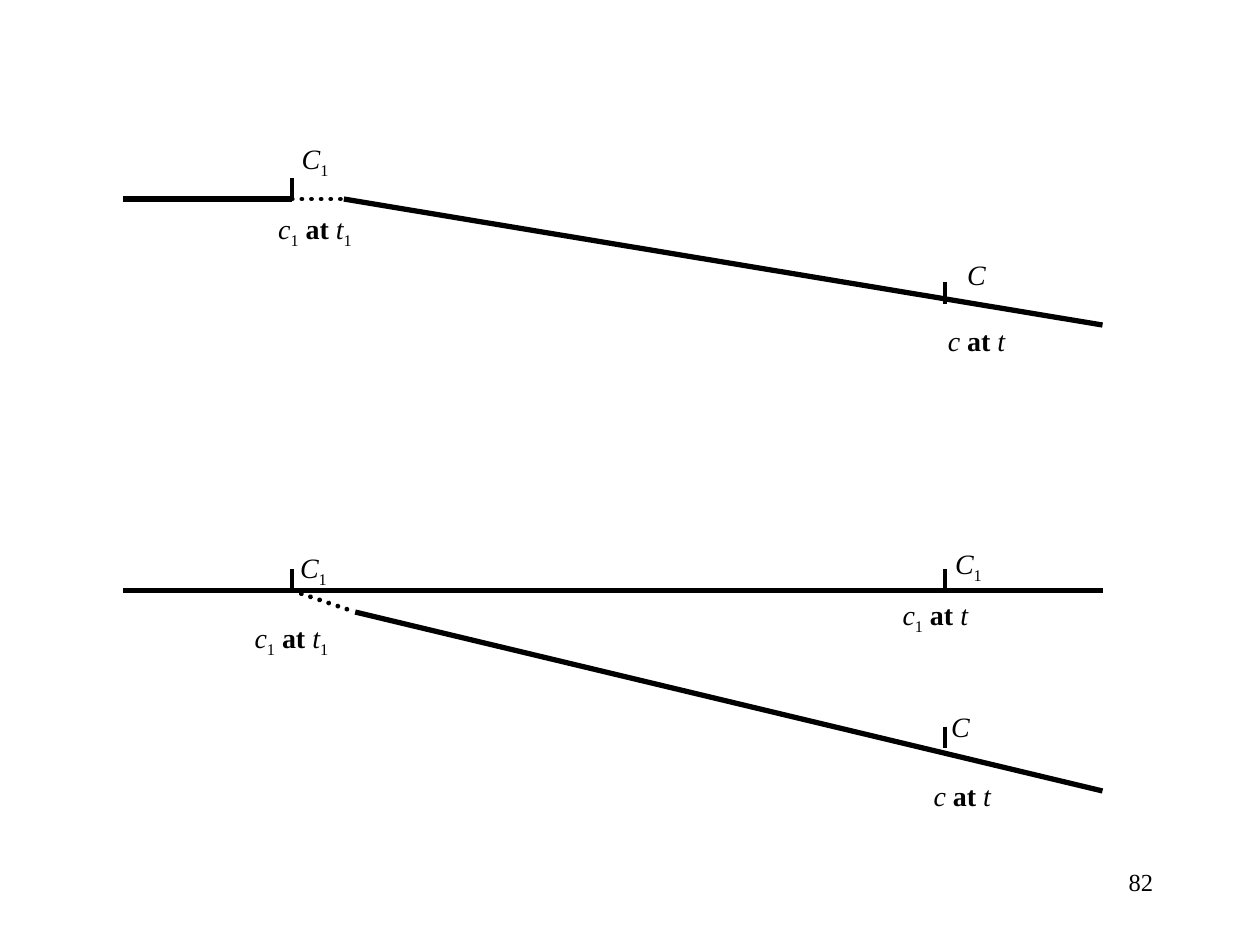
from lxml import etree
from pptx import Presentation
from pptx.dml.color import RGBColor
from pptx.enum.dml import MSO_LINE
from pptx.enum.shapes import MSO_CONNECTOR
from pptx.enum.text import PP_ALIGN
from pptx.oxml.ns import qn
from pptx.util import Pt

STRAIGHT = MSO_CONNECTOR.STRAIGHT
DOTTED = MSO_LINE.ROUND_DOT
LEFT, CENTER, RIGHT = PP_ALIGN.LEFT, PP_ALIGN.CENTER, PP_ALIGN.RIGHT

COLORS = {"ink": "000000"}
FONT = "Times New Roman"
INK = RGBColor.from_string(COLORS["ink"])
TICK_X, TICK_H = (96.5, 469.5), 12.25  # tick positions along a path
END_X = 559.5


def add_line(s, x1, y1, x2, y2, width=3, dotted=False):
    line = s.shapes.add_connector(STRAIGHT, Pt(x1), Pt(y1), Pt(x2), Pt(y2))
    line.line.color.rgb = INK
    line.line.width = Pt(width)
    if dotted:
        line.line.dash_style = DOTTED
        line.line._ln.set("cap", "rnd")
    etree.SubElement(line._element.spPr, qn("a:effectLst"))


def add_tick(s, x, bottom):
    add_line(s, x, bottom - TICK_H, x, bottom, width=2.25)


def add_run(p, text, size=16, italic=False, bold=False, subscript=False):
    r = p.add_run()
    r.text = text
    r.font.name, r.font.size = FONT, Pt(size)
    r.font.italic, r.font.bold = italic, bold
    r.font.color.rgb = INK
    if subscript:
        r.font._element.set("baseline", "-25000")


def add_formula(p, formula):
    """Italic variables, subscript digits, bold 'at'."""
    for word in formula.split():
        if word == "at":
            add_run(p, " at ", bold=True)
        else:
            add_run(p, word[0], italic=True)
            if word[1:]:
                add_run(p, word[1:], subscript=True)


def add_textbox(s, x, y, w, h, inset=(6, 3)):
    tf = s.shapes.add_textbox(Pt(x), Pt(y), Pt(w), Pt(h)).text_frame
    tf.word_wrap = True
    tf.margin_left = tf.margin_right = Pt(inset[0])
    tf.margin_top = tf.margin_bottom = Pt(inset[1])
    return tf


def add_label(s, x, y, w, h, above, below, gap=18.5, indent=None):
    """One formula above the path and one below; centred unless indented."""
    tf = add_textbox(s, x, y, w, h)
    top, bottom = tf.paragraphs[0], tf.add_paragraph()
    for p, formula in ((top, above), (bottom, below)):
        p.alignment = CENTER if indent is None else LEFT
        add_formula(p, formula)
    bottom.space_before = Pt(gap)
    if indent is not None:
        top._p.get_or_add_pPr().set("marL", str(Pt(indent)))


def add_single_path(s, x, y):
    """One path that bends after the first tick."""
    bend = 126
    add_line(s, x + bend, y, x + END_X, y + 72)
    add_line(s, x, y, x + TICK_X[0], y)
    add_line(s, x + TICK_X[0], y, x + bend, y, 2.75, dotted=True)
    add_tick(s, x + TICK_X[0], y)
    add_tick(s, x + TICK_X[1], y + 59.75)
    add_label(s, x + 61.25, y - 36, 96.5, 79, "C1", "c1 at t1")
    add_label(s, x + 439.25, y + 30.25, 96.5, 79, "C", "c at t")


def add_branching_path(s, x, y):
    """A straight path with a second path leaving it at the first tick."""
    branch_x, branch_y = 132.5, 12.25
    add_line(s, x, y, x + END_X, y)
    add_line(s, x + branch_x, y + branch_y, x + END_X, y + 114.5)
    add_line(s, x + TICK_X[0], y, x + branch_x, y + branch_y, 2.75, dotted=True)
    for tick_x in TICK_X:
        add_tick(s, x + tick_x, y)
    add_tick(s, x + TICK_X[1], y + 90)
    add_label(s, x + 69, y - 26, 75, 79, "C1", "c1 at t1", indent=26)
    add_label(s, x + 439.25, y - 28, 66, 67, "C1", "c1 at t", gap=7, indent=30)
    add_label(s, x + 457, y + 65, 66, 90, "C", "c at t", gap=20, indent=10)


def add_page_number(s, x, y, w, h, number):
    p = add_textbox(s, x, y, w, h, inset=(7.2, 3.6)).paragraphs[0]
    p.alignment = RIGHT
    add_run(p, number, size=14)


def main():
    prs = Presentation()
    prs.slide_width, prs.slide_height = Pt(720), Pt(540)
    s = prs.slides.add_slide(prs.slide_layouts[6])
    add_single_path(s, 70.5, 113.75)
    add_branching_path(s, 70.5, 337.5)
    add_page_number(s, 516, 492, 150, 36, "82")
    prs.save("out.pptx")


if __name__ == "__main__":
    main()
